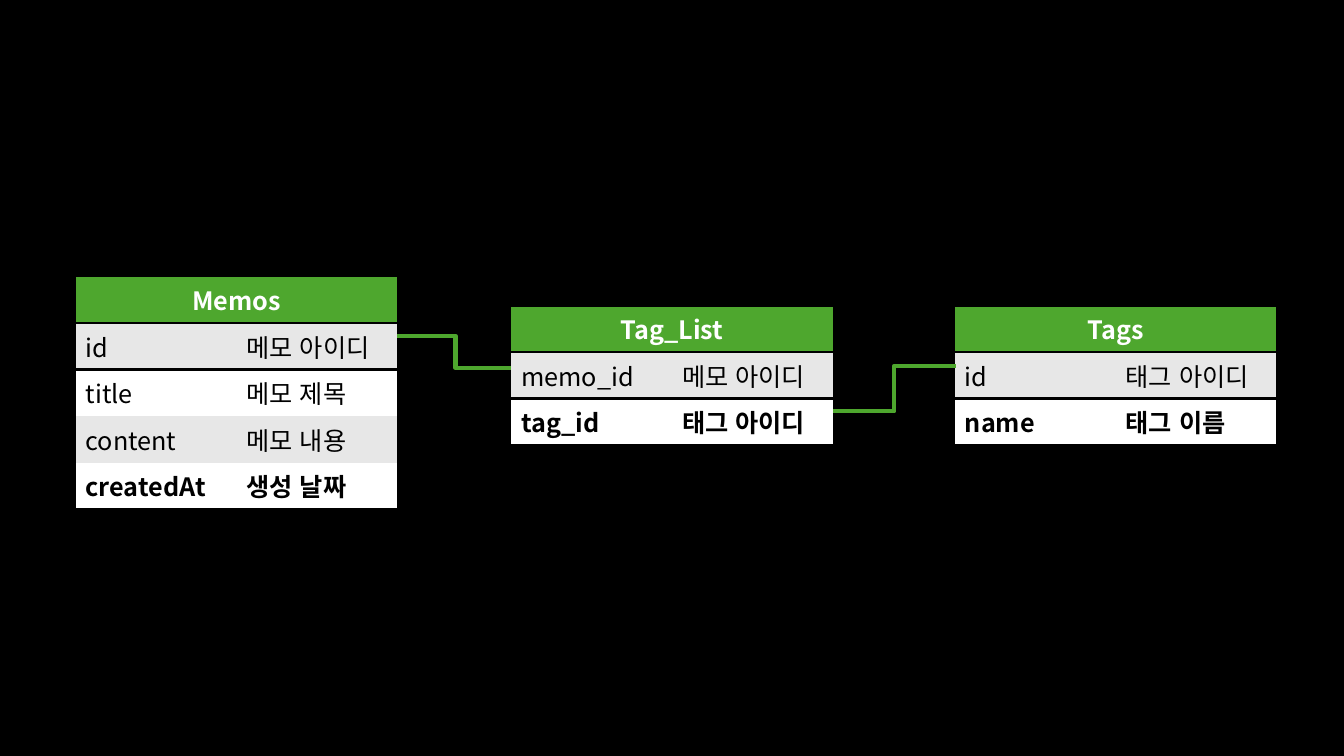
from lxml import etree
from pptx import Presentation
from pptx.dml.color import RGBColor
from pptx.enum import lang, shapes, text
from pptx.oxml import ns
from pptx.util import Inches, Pt

COLORS = {"black": "000000", "white": "FFFFFF", "green": "4EA72E", "gray": "E7E7E7"}
FONT = "Noto Sans CJK KR"
NO_STYLE = "{2D5ABB26-0587-4C30-8999-92F81FD0307C}"
ROW_H = 0.4
TABLE_W = 3.19


def rgb(name):
    return RGBColor.from_string(COLORS[name])


def add_border(cell, side, index):
    ln = etree.Element(ns.qn(f"a:{side}"), w=str(Pt(2)))
    fill = etree.SubElement(ln, ns.qn("a:solidFill"))
    etree.SubElement(fill, ns.qn("a:srgbClr"), val=COLORS["black"])
    cell._tc.get_or_add_tcPr().insert(index, ln)


prs = Presentation()
prs.slide_width = Inches(13.33)
prs.slide_height = Inches(7.5)
s = prs.slides.add_slide(prs.slide_layouts[6])
s.background.fill.solid()
s.background.fill.fore_color.rgb = rgb("black")

entities = [
    ("Memos", 0.75, 2.74, [("id", "메모 아이디"), ("title", "메모 제목"),
                           ("content", "메모 내용"), ("createdAt", "생성 날짜")]),
    ("Tags", 9.47, 3.03, [("id", "태그 아이디"), ("name", "태그 이름")]),
    ("Tag_List", 5.07, 3.03, [("memo_id", "메모 아이디"), ("tag_id", "태그 아이디")]),
]

for name, left, top, fields in entities:
    rows = [(name,)] + fields
    last = len(fields)
    table = s.shapes.add_table(len(rows), 2, Inches(left), Inches(top),
                               Inches(TABLE_W), Inches(ROW_H * len(rows))).table
    table._tbl.tblPr.find(ns.qn("a:tableStyleId")).text = NO_STYLE
    table.horz_banding = False
    table.cell(0, 0).merge(table.cell(0, 1))
    for i, row in enumerate(rows):
        header = i == 0
        for j, value in enumerate(row):
            cell = table.cell(i, j)
            cell.fill.solid()
            cell.fill.fore_color.rgb = rgb("green" if header else "gray" if i % 2 else "white")
            if i <= 1:
                add_border(cell, "lnT", 0)
            if header:
                add_border(cell, "lnB", 1)
            elif i == last:
                add_border(cell, "lnB", 0)
            p = cell.text_frame.paragraphs[0]
            p.text = value
            p.alignment = text.PP_ALIGN.CENTER if header else text.PP_ALIGN.LEFT
            r = p.runs[0]
            r.font.size = Pt(18)
            r.font.name = FONT
            r.font.bold = header or i == last
            r.font.color.rgb = rgb("white" if header else "black")
            r.font.language_id = lang.MSO_LANGUAGE_ID.KOREAN
            etree.SubElement(r.font._element, ns.qn("a:ea"), typeface=FONT)

relations = [(3.94, 3.33, 5.07, 3.65, 51100), (8.26, 4.08, 9.48, 3.63, 50000)]
for *ends, bend in relations:
    line = s.shapes.add_connector(shapes.MSO_CONNECTOR.ELBOW, *map(Inches, ends))
    line.line.color.rgb = rgb("green")
    line.line.width = Pt(3)
    sp_pr = line._element.spPr
    guides = sp_pr.find(ns.qn("a:prstGeom")).get_or_add_avLst()
    etree.SubElement(guides, ns.qn("a:gd"), name="adj1", fmla=f"val {bend}")
    etree.SubElement(sp_pr, ns.qn("a:effectLst"))

prs.save("out.pptx")
